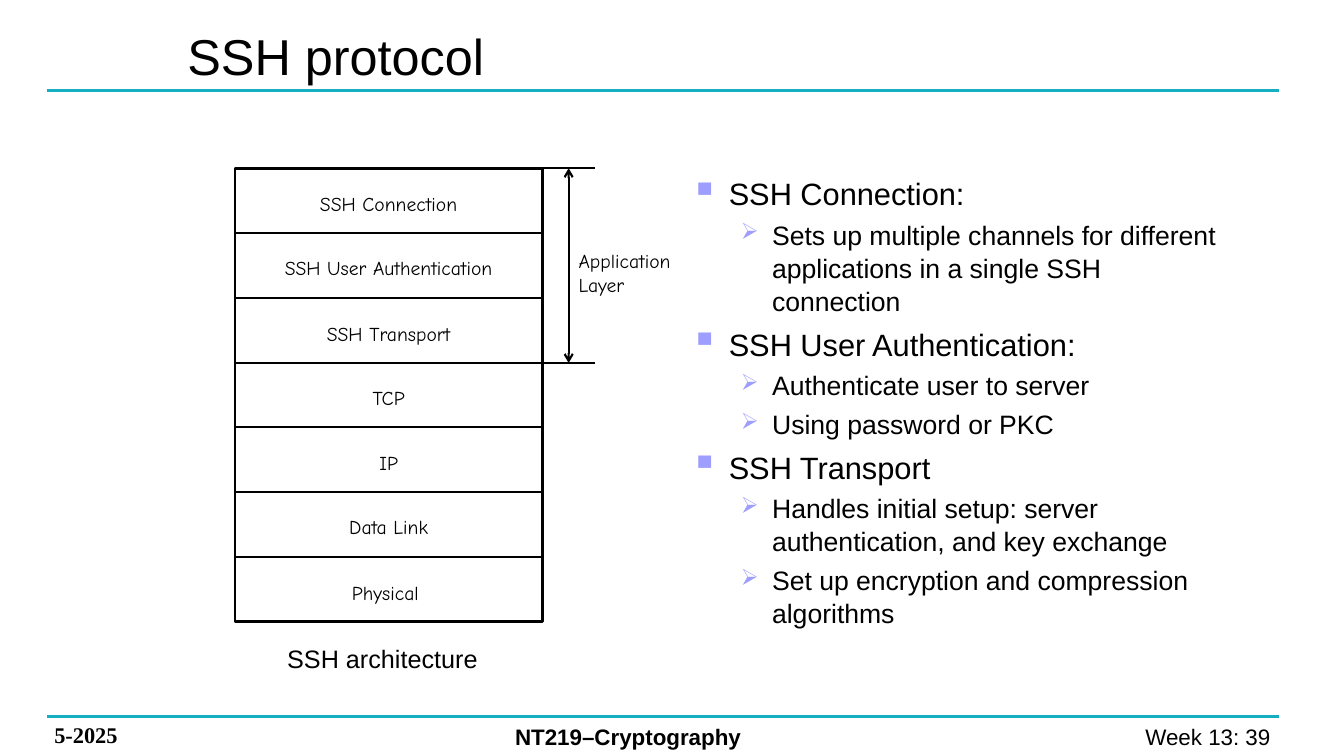
from lxml import etree
from pptx import Presentation, util as u
from pptx.dml.color import RGBColor
from pptx.enum import shapes, text
from pptx.oxml import ns

PX = 9144
BLACK = RGBColor(0x00, 0x00, 0x00)
WHITE = RGBColor(0xFF, 0xFF, 0xFF)
TEAL = RGBColor(0x16, 0xAF, 0xC2)
LAVENDER = RGBColor(0x9E, 0x9E, 0xFF)
LEFT, CENTER, RIGHT = text.PP_ALIGN.LEFT, text.PP_ALIGN.CENTER, text.PP_ALIGN.RIGHT

presentation = Presentation()
presentation.slide_width = 1333 * PX
presentation.slide_height = 750 * PX
slide = presentation.slides.add_slide(presentation.slide_layouts[6])


def add_text(box, words, size, font="Arial", align=LEFT, bold=False, wrap=True):
    left, top, width, height = box
    shape = slide.shapes.add_textbox(left * PX, top * PX, width * PX, height * PX)
    shape.text_frame.word_wrap = wrap
    paragraph = shape.text_frame.paragraphs[0]
    paragraph.alignment = align
    run = paragraph.add_run()
    run.text = words
    run.font.size = u.Pt(size)
    run.font.name = font
    run.font.bold = bold
    run.font.color.rgb = BLACK
    return shape


def add_line(start, end, color=BLACK, width=1.5):
    connector = slide.shapes.add_connector(
        shapes.MSO_CONNECTOR.STRAIGHT, *(n * PX for n in start + end))
    connector.line.color.rgb = color
    connector.line.width = u.Pt(width)
    etree.SubElement(connector._element.spPr, ns.qn("a:effectLst"))
    return connector


for rule_top in (90, 711):
    add_line((47, rule_top), (1269, rule_top), TEAL, 2.25)

add_text((982, 712, 294, 37), "Week 13: 39 ", 16, align=RIGHT)
add_text((44, 711, 178, 37), "5-2025", 16, "Times New Roman", bold=True)
add_text((501, 712, 409, 37), "NT219–Cryptography", 16, bold=True)
title = add_text((176, 11, 985, 87), "SSH protocol", 36)
title.text_frame.vertical_anchor = text.MSO_ANCHOR.MIDDLE

LEVELS = [
    {"size": 22, "before": 5, "margin": 38, "hang": 38, "bullet": "▪", "percent": 125},
    {"size": 19, "before": 4, "margin": 81, "hang": 31, "bullet": "➢", "percent": 85},
]
points = [
    (0, "SSH Connection:"),
    (1, "Sets up multiple channels for different applications in a single SSH connection"),
    (0, "SSH User Authentication:"),
    (1, "Authenticate user to server"),
    (1, "Using password or PKC"),
    (0, "SSH Transport"),
    (1, "Handles initial setup: server authentication, and key exchange"),
    (1, "Set up encryption and compression algorithms"),
]
body = slide.shapes.add_textbox(675 * PX, 167 * PX, 550 * PX, 508 * PX)
body.text_frame.word_wrap = True
for index, (depth, words) in enumerate(points):
    level = LEVELS[depth]
    paragraph = body.text_frame.add_paragraph() if index else body.text_frame.paragraphs[0]
    paragraph.level = depth
    properties = paragraph._p.get_or_add_pPr()
    properties.set("marL", str(level["margin"] * PX))
    properties.set("indent", str(-level["hang"] * PX))
    bullet_color = etree.SubElement(properties, ns.qn("a:buClr"))
    etree.SubElement(bullet_color, ns.qn("a:srgbClr"), val=str(LAVENDER))
    etree.SubElement(properties, ns.qn("a:buSzPct"), val=str(level["percent"] * 1000))
    etree.SubElement(properties, ns.qn("a:buChar"), char=level["bullet"])
    paragraph.line_spacing = 1.04
    paragraph.space_before = u.Pt(level["before"] if index else 0)
    run = paragraph.add_run()
    run.text = words
    run.font.size = u.Pt(level["size"])
    run.font.name = "Arial"
    run.font.color.rgb = BLACK

layers = ["SSH Connection", "SSH User Authentication", "SSH Transport",
          "TCP", "IP", "Data Link", "Physical "]
STACK_LEFT, STACK_TOP, STACK_WIDTH, STACK_HEIGHT = 233, 167, 305, 450
APPLICATION_LAYERS = 3
tops = [STACK_TOP + round(i * STACK_HEIGHT / len(layers)) for i in range(len(layers))]

stack = slide.shapes.add_shape(
    shapes.MSO_SHAPE.RECTANGLE,
    STACK_LEFT * PX, STACK_TOP * PX, STACK_WIDTH * PX, STACK_HEIGHT * PX)
stack.shadow.inherit = False
stack.fill.solid()
stack.fill.fore_color.rgb = WHITE
stack.line.color.rgb = BLACK
stack.line.width = u.Pt(2)

for index, (layer, top) in enumerate(zip(layers, tops)):
    line_end = 590 if index in (0, APPLICATION_LAYERS) else STACK_LEFT + STACK_WIDTH
    add_line((STACK_LEFT, top), (line_end, top))
    add_text((STACK_LEFT, top + 18, STACK_WIDTH, 34), layer, 14, "Comic Neue", CENTER)

span = add_line((564, tops[0]), (564, tops[APPLICATION_LAYERS]))
for arrowhead in ("a:headEnd", "a:tailEnd"):
    etree.SubElement(span.line._get_or_add_ln(), ns.qn(arrowhead), type="arrow")
add_text((564, 242, 136, 57), "Application Layer", 14, "Comic Neue")
add_text((275, 633, 209, 40), "SSH architecture", 18, wrap=False)

presentation.save("out.pptx")
